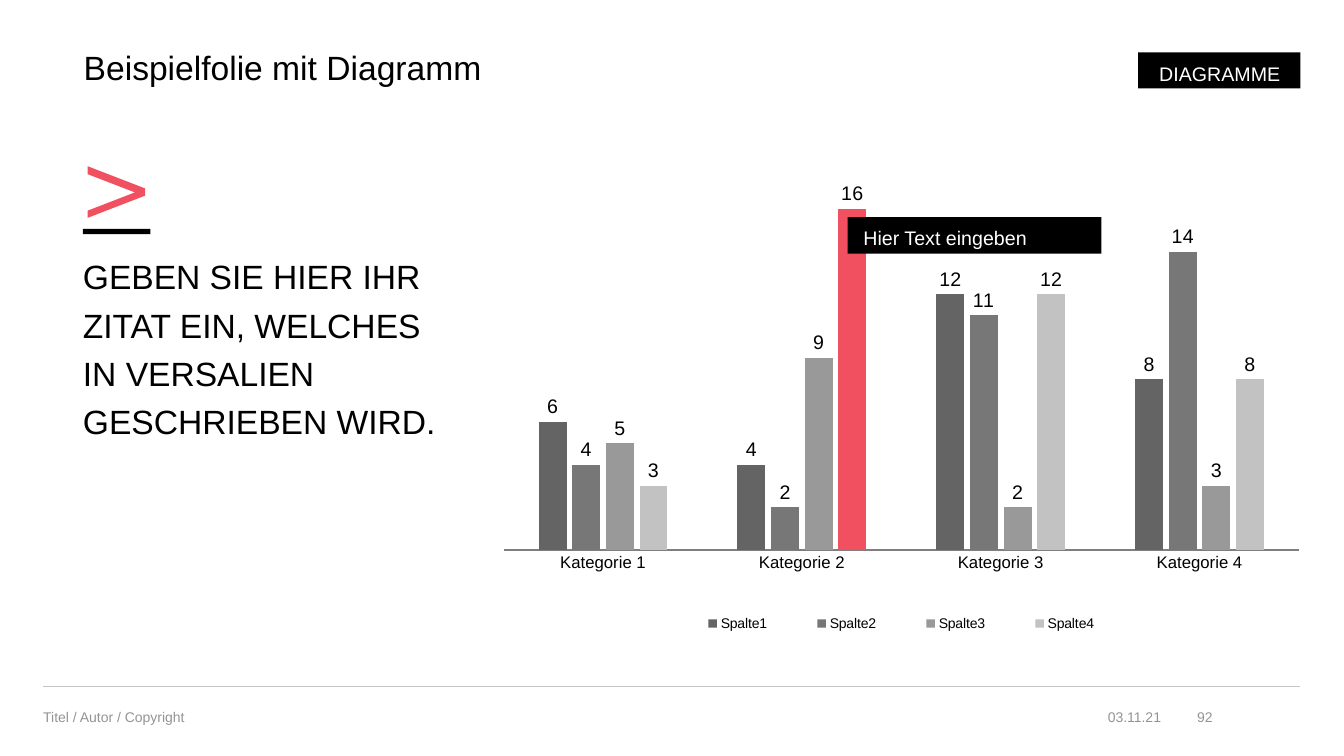
from dataclasses import dataclass

from lxml import etree
from pptx import Presentation
from pptx.chart.data import CategoryChartData
from pptx.dml.color import RGBColor
from pptx.enum.chart import XL_CHART_TYPE, XL_LABEL_POSITION, XL_LEGEND_POSITION, XL_TICK_MARK
from pptx.enum.shapes import MSO_CONNECTOR, MSO_SHAPE
from pptx.enum.text import MSO_ANCHOR, MSO_AUTO_SIZE, PP_ALIGN
from pptx.oxml import parse_xml
from pptx.oxml.ns import nsdecls, qn
from pptx.util import Cm, Pt

LEFT, RIGHT = PP_ALIGN.LEFT, PP_ALIGN.RIGHT
TOP, MIDDLE = MSO_ANCHOR.TOP, MSO_ANCHOR.MIDDLE
NO_AUTO_SIZE = MSO_AUTO_SIZE.NONE
RECTANGLE = MSO_SHAPE.RECTANGLE
STRAIGHT = MSO_CONNECTOR.STRAIGHT
COLUMNS = XL_CHART_TYPE.COLUMN_CLUSTERED
OUTSIDE_END = XL_LABEL_POSITION.OUTSIDE_END
BOTTOM = XL_LEGEND_POSITION.BOTTOM
NO_TICKS = XL_TICK_MARK.NONE

FONT = "Arial"
COLORS = {
    "black": "000000", "white": "FFFFFF", "accent": "F15060",
    "footer": "949494", "rule": "C5C5C5", "axis": "7F7F7F",
    "column1": "646464", "column2": "777777", "column3": "999999", "column4": "C2C2C2",
}


@dataclass
class Box:
    left: float
    top: float
    width: float
    height: float

    def emu(self) -> tuple:
        return Cm(self.left), Cm(self.top), Cm(self.width), Cm(self.height)


@dataclass
class FooterItem:
    text: str
    box: Box
    align: PP_ALIGN


@dataclass
class Column:
    name: str
    values: tuple
    color: str


FOOTER = [
    FooterItem("Titel / Autor / Copyright", Box(1.09, 17.58, 15.42, 0.99), LEFT),
    FooterItem("03.11.21", Box(27.36, 17.58, 1.9, 0.99), RIGHT),
    FooterItem("92", Box(29.77, 17.58, 0.79, 0.99), RIGHT),
]
CATEGORIES = [f"Kategorie {n}" for n in range(1, 5)]
DATA = [
    Column("Spalte1", (6, 4, 12, 8), "column1"),
    Column("Spalte2", (4, 2, 11, 14), "column2"),
    Column("Spalte3", (5, 9, 2, 3), "column3"),
    Column("Spalte4", (3, 16, 12, 8), "column4"),
]
HIGHLIGHT = ("Spalte4", 1)
CHEVRON = [(2.21, 4.19), (3.66, 4.75), (3.66, 4.93), (2.21, 5.49),
           (2.21, 5.31), (3.4, 4.85), (2.21, 4.39)]


def rgb(name: str) -> RGBColor:
    return RGBColor.from_string(COLORS[name])


def set_font(font, size: float, color: str = "black") -> None:
    font.name, font.size, font.color.rgb = FONT, Pt(size), rgb(color)


def write(sp, text: str, *, size: float, color: str = "black", align=LEFT, anchor=TOP,
          spacing: float = 1.0, inset: tuple = (0, 0), wrap: bool = True) -> None:
    tf = sp.text_frame
    tf.auto_size = NO_AUTO_SIZE
    tf.word_wrap = wrap
    tf.vertical_anchor = anchor
    tf.margin_left = tf.margin_right = Cm(inset[0])
    tf.margin_top = tf.margin_bottom = Cm(inset[1])
    p = tf.paragraphs[0]
    p.alignment, p.line_spacing = align, spacing
    p.space_before = Pt(0)
    r = p.add_run()
    r.text = text
    set_font(r.font, size, color)


def paint(sp, color: str) -> None:
    sp.shadow.inherit = False
    sp.fill.solid()
    sp.fill.fore_color.rgb = rgb(color)
    sp.line.fill.background()


def add_bar(s, box: Box):
    sp = s.shapes.add_shape(RECTANGLE, *box.emu())
    paint(sp, "black")
    return sp


def add_rule(s, left: float, right: float, top: float) -> None:
    line = s.shapes.add_connector(STRAIGHT, Cm(left), Cm(top), Cm(right), Cm(top))
    line.line.color.rgb = rgb("rule")
    line.line.width = Pt(0.5)
    etree.SubElement(line._element.spPr, qn("a:effectLst"))


def add_chevron(s) -> None:
    points = [(Cm(x), Cm(y)) for x, y in CHEVRON]
    builder = s.shapes.build_freeform(*points[0])
    builder.add_line_segments(points[1:], close=True)
    paint(builder.convert_to_shape(), "accent")


def set_layout(parent, index: int, x: float, y: float, w: float, h: float,
               inner: bool = False) -> None:
    """Place a chart part by fractions of the chart area."""
    for old in parent.findall(qn("c:layout")):
        parent.remove(old)
    target = '<c:layoutTarget val="inner"/>' if inner else ""
    sizes = "".join(f'<c:{k} val="{v}"/>' for k, v in zip("xywh", (x, y, w, h)))
    parent.insert(index, parse_xml(
        f'<c:layout {nsdecls("c")}><c:manualLayout>{target}<c:xMode val="edge"/>'
        f'<c:yMode val="edge"/>{sizes}</c:manualLayout></c:layout>'))


def add_column_chart(s, box: Box) -> None:
    data = CategoryChartData()
    data.categories = CATEGORIES
    for column in DATA:
        data.add_series(column.name, column.values)
    chart = s.shapes.add_chart(COLUMNS, *box.emu(), data).chart
    chart.has_title = False
    set_font(chart.font, 18)

    # Axes
    axis = chart.category_axis
    axis.major_tick_mark = axis.minor_tick_mark = NO_TICKS
    axis.format.line.color.rgb = rgb("axis")
    set_font(axis.tick_labels.font, 12)
    values = chart.value_axis
    values.minimum_scale, values.maximum_scale = 0, 18
    values.has_major_gridlines = False
    values.visible = False

    # Columns and their labels
    plot = chart.plots[0]
    plot.gap_width, plot.overlap = 250, -20
    plot.vary_by_categories = False
    for series, column in zip(plot.series, DATA):
        series.format.fill.solid()
        series.format.fill.fore_color.rgb = rgb(column.color)
        if column.name == HIGHLIGHT[0]:
            fill = series.points[HIGHLIGHT[1]].format.fill
            fill.solid()
            fill.fore_color.rgb = rgb("accent")
        labels = series.data_labels
        labels.show_value = True
        labels.position = OUTSIDE_END
        set_font(labels.font, 14)

    # Legend and plot position
    chart.has_legend = True
    chart.legend.position = BOTTOM
    chart.legend.include_in_layout = False
    set_font(chart.legend.font, 10)
    set_layout(chart.legend._element, 1, 0.2, 0.93, 0.6, 0.07)
    plot_area = chart._chartSpace.chart.plotArea
    set_layout(plot_area, 0, 0, 0, 1, 0.81, inner=True)


def main() -> None:
    prs = Presentation()
    prs.slide_width, prs.slide_height = Cm(33.87), Cm(19.05)
    s = prs.slides.add_slide(prs.slide_layouts[5])

    # Footer
    add_rule(s, 1.09, 32.77, 17.3)
    for item in FOOTER:
        write(s.shapes.add_textbox(*item.box.emu()), item.text, size=10,
              color="footer", align=item.align, anchor=MIDDLE)

    # Title
    title = s.shapes.title
    title.left, title.top, title.width, title.height = Box(2.11, 1.3, 30.66, 0.91).emu()
    write(title, "Beispielfolie mit Diagramm", size=24, spacing=0.9)

    # Quote
    add_chevron(s)
    add_bar(s, Box(2.09, 5.77, 1.7, 0.13))
    quote = s.shapes.add_textbox(*Box(2.09, 6.25, 9.5, 9.45).emu())
    write(quote, "GEBEN SIE HIER IHR ZITAT EIN, WELCHES IN VERSALIEN GESCHRIEBEN WIRD.",
          size=24, spacing=1.2)

    # Chart with callout
    add_column_chart(s, Box(12.68, 4.19, 20.07, 11.94))
    callout = add_bar(s, Box(21.36, 5.47, 6.4, 0.92))
    write(callout, "Hier Text eingeben", size=14, color="white", spacing=1.2, inset=(0.4, 0.1))

    # Section tag
    tag = add_bar(s, Box(28.68, 1.32, 4.09, 0.91))
    write(tag, "DIAGRAMME", size=14, color="white", align=RIGHT, spacing=1.2,
          inset=(0.5, 0.13), wrap=False)

    prs.save("out.pptx")


if __name__ == "__main__":
    main()
